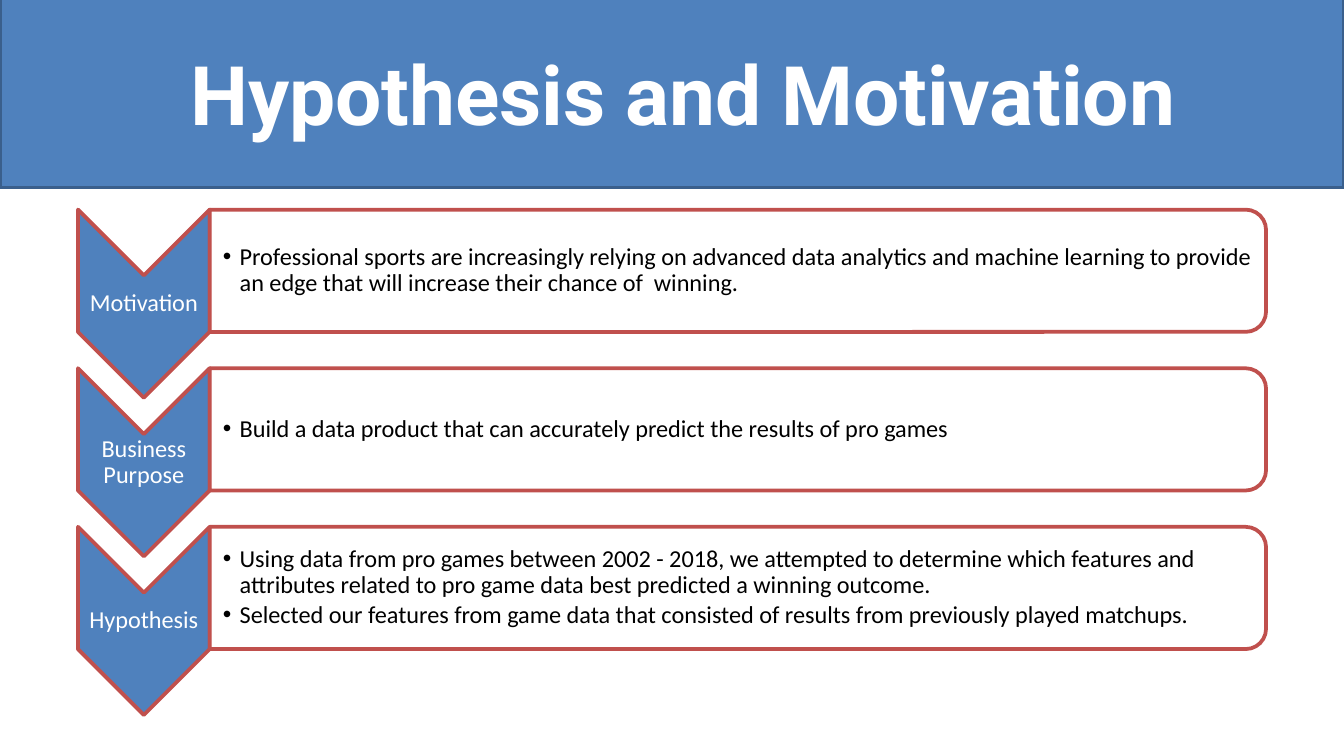
from lxml import etree
from pptx import Presentation
from pptx.dml.color import RGBColor
from pptx.enum.shapes import MSO_SHAPE
from pptx.enum.text import MSO_ANCHOR, PP_ALIGN
from pptx.oxml.ns import qn
from pptx.util import Pt

RECTANGLE = MSO_SHAPE.RECTANGLE
CHEVRON = MSO_SHAPE.CHEVRON
ROUNDED_END = MSO_SHAPE.ROUND_2_SAME_RECTANGLE
CENTER, LEFT = PP_ALIGN.CENTER, PP_ALIGN.LEFT
TOP, MIDDLE = MSO_ANCHOR.TOP, MSO_ANCHOR.MIDDLE

EMU_PER_PX = 4572  # 200 px to the inch
BLUE, DARK_BLUE, RED = "4F81BD", "3A5F8C", "C0504D"
WHITE, BLACK = "FFFFFF", "000000"

ROWS = [
    ("Motivation", [
        "Professional sports are increasingly relying on advanced data analytics "
        "and machine learning to provide an edge that will increase their "
        "chance of  winning."]),
    ("Business Purpose", [
        "Build a data product that can accurately predict the results of pro games"]),
    ("Hypothesis", [
        "Using data from pro games between 2002 - 2018, we attempted to determine "
        "which features and attributes related to pro game data best predicted "
        "a winning outcome.",
        "Selected our features from game data that consisted of results from "
        "previously played matchups."]),
]
FIRST_TOP, ROW_PITCH = 312, 236
CHEVRON_LEFT, CHEVRON_WIDTH, CHEVRON_HEIGHT = 116, 196, 280
PANEL_LEFT, PANEL_WIDTH, PANEL_HEIGHT = 312, 1572, 182


def px(length):
    return round(length * EMU_PER_PX)


def color(hex_string):
    return RGBColor.from_string(hex_string)


class SlideBuilder:
    font, size = "Calibri", 13

    def __init__(self, slide):
        self.slide = slide

    def shape(self, kind, left, top, width, height, fill, line, opacity=100):
        shape = self.slide.shapes.add_shape(
            kind, px(left), px(top), px(width), px(height))
        shape.shadow.inherit = False
        shape.fill.solid()
        shape.fill.fore_color.rgb = color(fill)
        shape.line.color.rgb = color(line)
        shape.line.width = Pt(2)
        if opacity < 100:
            fill_color = shape.fill._xPr.find(qn("a:solidFill"))[0]
            etree.SubElement(fill_color, qn("a:alpha"), val=str(opacity * 1000))
        return shape

    def turned_shape(self, kind, left, top, width, height, fill, line, opacity=100):
        """Place a shape turned by 90 degrees so that it covers the given area."""
        shift = (width - height) / 2
        shape = self.shape(kind, left + shift, top - shift, height, width,
                           fill, line, opacity)
        shape.rotation = 90
        return shape

    def text(self, left, top, width, height, lines, ink, align=LEFT,
             anchor=MIDDLE, inset=2, font=None, size=None):
        box = self.slide.shapes.add_textbox(
            px(left), px(top), px(width), px(height))
        frame = box.text_frame
        frame.text = "\n".join(lines)
        frame.word_wrap = True
        frame.vertical_anchor = anchor
        frame.margin_left = px(inset)
        frame.margin_top = frame.margin_right = frame.margin_bottom = px(2)
        for para in frame.paragraphs:
            para.alignment = align
            for span in para.runs:
                span.font.name = font or self.font
                span.font.size = Pt(size or self.size)
                span.font.color.rgb = color(ink)
        return frame

    def title(self, left, top, width, height, words):
        frame = self.text(left, top, width, height, [words], WHITE, CENTER, TOP,
                          inset=0, font="Roboto", size=44)
        frame.margin_right = frame.margin_bottom = 0
        para = frame.paragraphs[0]
        para.space_before = Pt(1)
        span = para.runs[0]
        span.font.bold = True
        span.font._element.set("spc", "-10")

    def label(self, left, top, width, height, words):
        frame = self.text(left, top, width, height, [words], WHITE, CENTER)
        frame.paragraphs[0].line_spacing = 0.9

    def bullets(self, left, top, width, height, lines):
        frame = self.text(left, top, width, height, lines, BLACK, inset=20)
        for para in frame.paragraphs:
            para.line_spacing = 0.9
            para.space_after = Pt(2)
            properties = para._p.get_or_add_pPr()
            properties.set("marL", str(px(25)))
            properties.set("indent", str(px(-25)))
            etree.SubElement(properties, qn("a:buFont"), typeface="Arial")
            etree.SubElement(properties, qn("a:buChar"), char="•")


def main():
    deck = Presentation()
    deck.slide_width, deck.slide_height = px(2000), px(1125)
    page = SlideBuilder(deck.slides.add_slide(deck.slide_layouts[6]))

    # Title banner
    page.shape(RECTANGLE, 0, -20, 2000, 299, BLUE, DARK_BLUE)
    page.title(34, 62, 1934, 150, " Hypothesis and Motivation")

    # Chevron list
    for index, (heading, lines) in enumerate(ROWS):
        top = FIRST_TOP + index * ROW_PITCH
        page.turned_shape(CHEVRON, CHEVRON_LEFT, top, CHEVRON_WIDTH,
                          CHEVRON_HEIGHT, BLUE, RED)
        page.label(CHEVRON_LEFT, top + 98, CHEVRON_WIDTH, 84, heading)
        page.turned_shape(ROUNDED_END, PANEL_LEFT, top, PANEL_WIDTH,
                          PANEL_HEIGHT, WHITE, RED, opacity=90)
        page.bullets(PANEL_LEFT, top + 9, PANEL_WIDTH - 10, 164, lines)

    deck.save("out.pptx")


if __name__ == "__main__":
    main()
